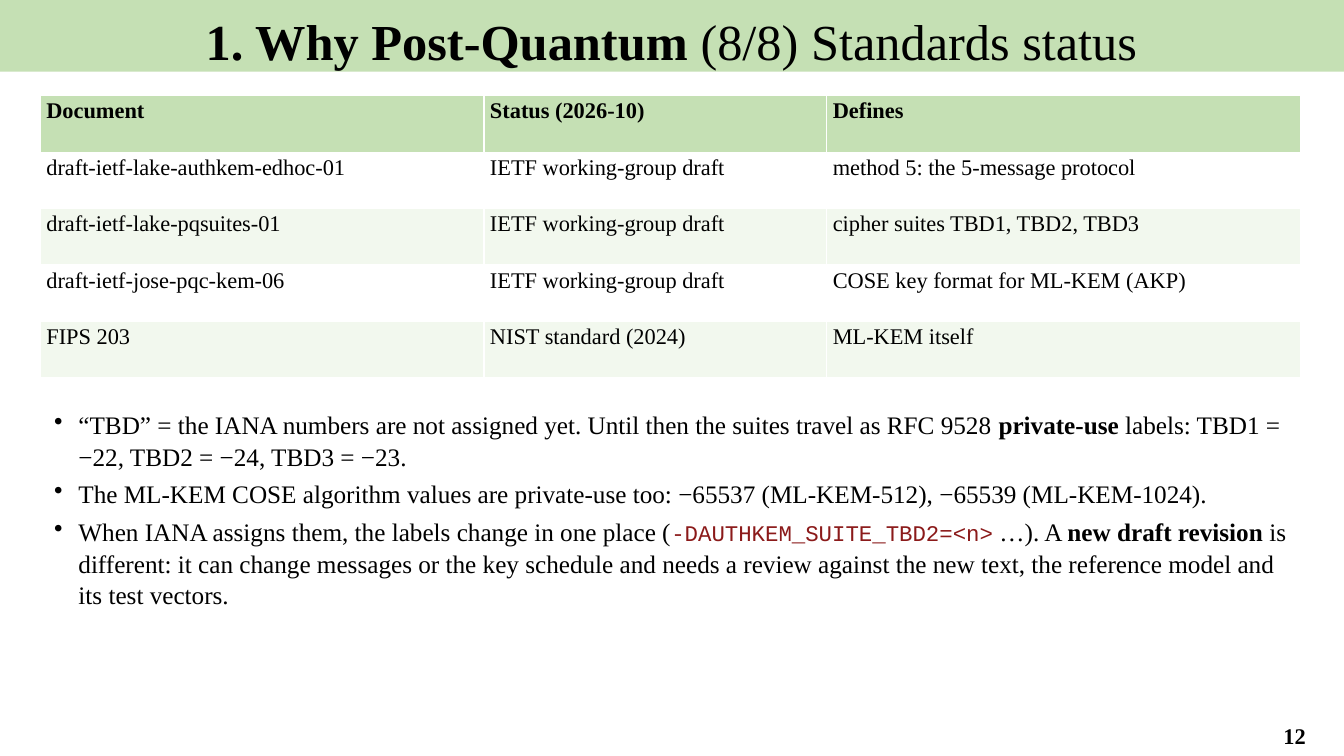
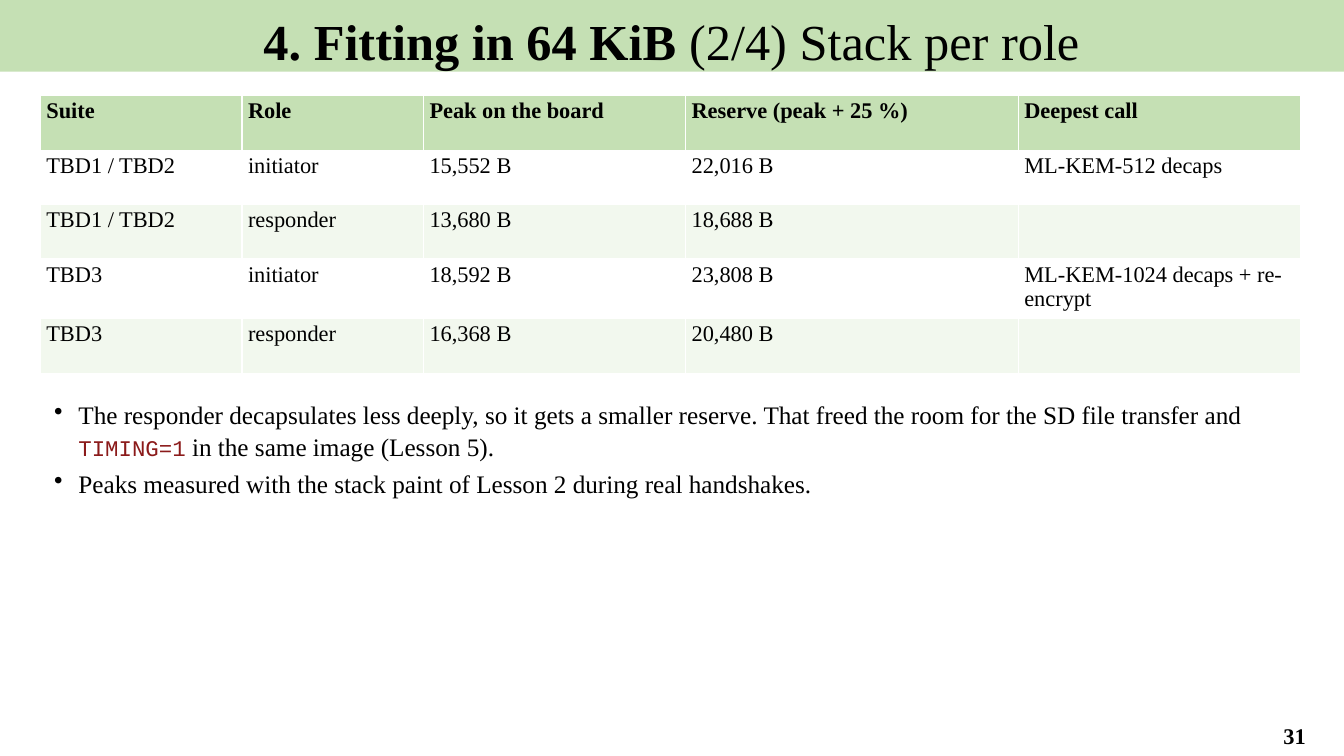
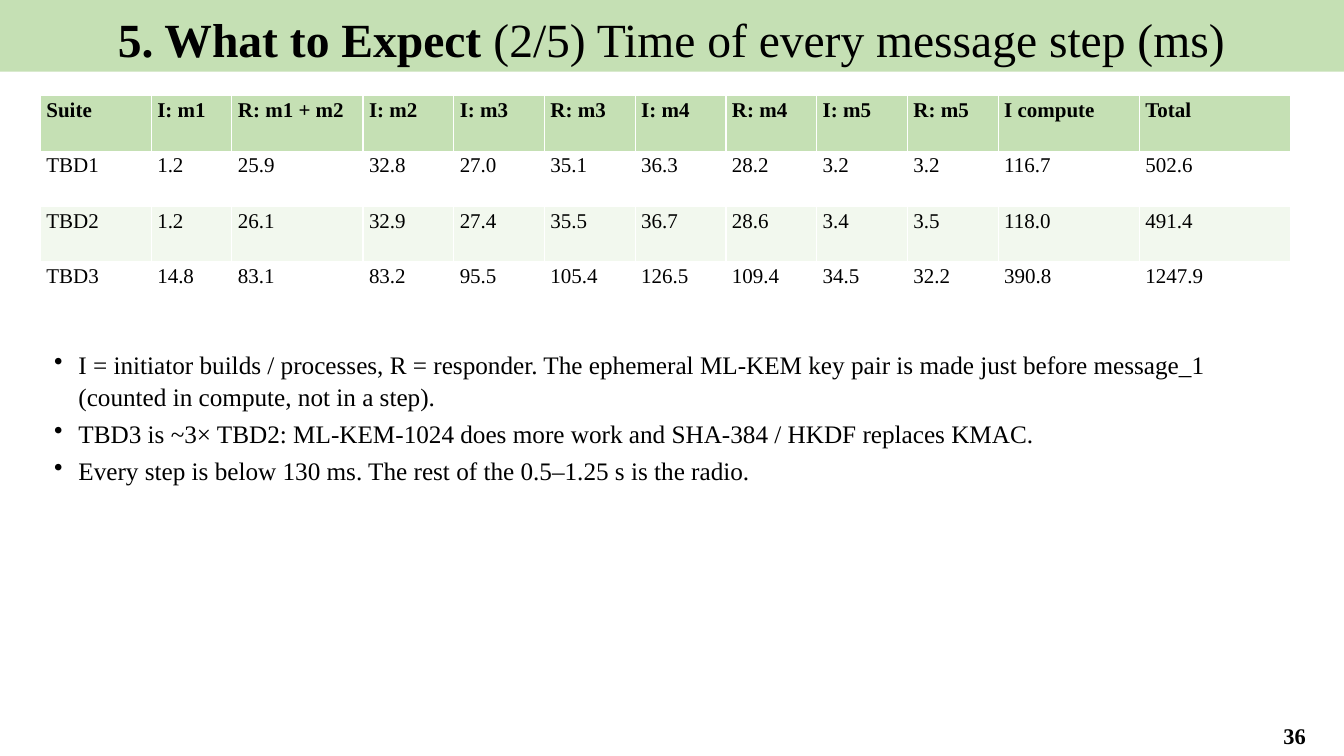
import pptx
import pptx.dml.color
import pptx.enum.text
import pptx.oxml.ns
import pptx.util
from lxml import etree

Inches = pptx.util.Inches
Pt = pptx.util.Pt
ALIGN = pptx.enum.text.PP_ALIGN
ANCHOR = pptx.enum.text.MSO_ANCHOR
FIT = pptx.enum.text.MSO_AUTO_SIZE

SERIF, MONO = "Times New Roman", "Courier New"
BLACK, WHITE, GREEN, PALE, RED = "000000", "FFFFFF", "C5E0B4", "F2F8EE", "8B1A1A"
BOLD = {"bold": True}
CODE = {"size": 16, "font": MONO, "color": RED}


def hue(code):
    return pptx.dml.color.RGBColor.from_string(code)


def paint(item, code):
    item.fill.solid()
    item.fill.fore_color.rgb = hue(code)


def write(para, text, size=18, bold=False, font=SERIF, color=BLACK):
    run = para.add_run()
    run.text = text
    run.font.size = Pt(size)
    run.font.bold = bold
    run.font.name = font
    run.font.color.rgb = hue(color)


def place(shape, left, top, width, height):
    shape.left, shape.top = Inches(left), Inches(top)
    shape.width, shape.height = Inches(width), Inches(height)


def add_box(slide, left, top, width, height):
    box = slide.shapes.add_textbox(*map(Inches, (left, top, width, height)))
    box.text_frame.word_wrap = True
    return box.text_frame


def add_title(slide, topic, rest, size):
    title = slide.shapes.title
    place(title, -0.01, 0, 13.34, 0.71)
    paint(title, GREEN)
    frame = title.text_frame
    frame.auto_size = FIT.NONE
    frame.vertical_anchor = ANCHOR.TOP
    frame.margin_top = Inches(0.1)
    para = frame.paragraphs[0]
    para.alignment = ALIGN.CENTER
    write(para, topic + " ", size=size, bold=True)
    write(para, rest, size=size)


def add_number(slide, number):
    frame = add_box(slide, 12.35, 7.1, 0.98, 0.39)
    frame.vertical_anchor = ANCHOR.MIDDLE
    para = frame.paragraphs[0]
    para.alignment = ALIGN.CENTER
    write(para, str(number), size=16, bold=True)


def add_grid(slide, rows, widths, height, size=16):
    area = map(Inches, (0.4, 0.95, sum(widths), height * len(rows)))
    table = slide.shapes.add_table(len(rows), len(widths), *area).table
    table.horz_banding = False
    for column, width in zip(table.columns, widths):
        column.width = Inches(width)
    for r, row in enumerate(rows):
        table.rows[r].height = Inches(height)
        fill = GREEN if r == 0 else (PALE, WHITE)[r % 2]
        for c, text in enumerate(row):
            cell = table.cell(r, c)
            cell.margin_left = cell.margin_right = Inches(0.06)
            cell.margin_top = cell.margin_bottom = Inches(0.03)
            paint(cell, fill)
            if text:
                write(cell.text_frame.paragraphs[0], text, size=size, bold=r == 0)


def add_list(slide, top, height, items):
    frame = add_box(slide, 0.4, top, 12.5, height)
    for i, item in enumerate(items):
        para = frame.add_paragraph() if i else frame.paragraphs[0]
        props = para._p.get_or_add_pPr()
        props.set("marL", str(Inches(0.28)))
        props.set("indent", str(Inches(-0.24)))
        mark = etree.SubElement(props, pptx.oxml.ns.qn("a:buChar"))
        mark.set("char", "•")
        para.line_spacing = 1.05
        para.space_after = Pt(4)
        for text, style in item:
            write(para, text, **style)


def add_slide(deck, number, topic, rest, size=36):
    slide = deck.slides.add_slide(deck.slide_layouts[5])
    add_title(slide, topic, rest, size)
    add_number(slide, number)
    return slide


def show_status(deck):
    slide = add_slide(deck, 12, "1. Why Post-Quantum", "(8/8) Standards status")
    draft = "IETF working-group draft"
    rows = [
        ("Document", "Status (2026-10)", "Defines"),
        ("draft-ietf-lake-authkem-edhoc-01", draft, "method 5: the 5-message protocol"),
        ("draft-ietf-lake-pqsuites-01", draft, "cipher suites TBD1, TBD2, TBD3"),
        ("draft-ietf-jose-pqc-kem-06", draft, "COSE key format for ML-KEM (AKP)"),
        ("FIPS 203", "NIST standard (2024)", "ML-KEM itself"),
    ]
    add_grid(slide, rows, (4.4, 3.4, 4.7), 0.56)
    add_list(slide, 4, 2.9, [
        [("“TBD” = the IANA numbers are not assigned yet. Until then the suites "
          "travel as RFC 9528 ", {}),
         ("private-use", BOLD),
         (" labels: TBD1 = −22, TBD2 = −24, TBD3 = −23.", {})],
        [("The ML-KEM COSE algorithm values are private-use too: "
          "−65537 (ML-KEM-512), −65539 (ML-KEM-1024).", {})],
        [("When IANA assigns them, the labels change in one place (", {}),
         ("-DAUTHKEM_SUITE_TBD2=<n>", CODE),
         (" …). A ", {}),
         ("new draft revision", BOLD),
         (" is different: it can change messages or the key schedule and needs a "
          "review against the new text, the reference model and its test vectors.", {})],
    ])


def show_stack(deck):
    slide = add_slide(deck, 31, "4. Fitting in 64 KiB", "(2/4) Stack per role")
    rows = [
        ("Suite", "Role", "Peak on the board", "Reserve (peak + 25 %)", "Deepest call"),
        ("TBD1 / TBD2", "initiator", "15,552 B", "22,016 B", "ML-KEM-512 decaps"),
        ("TBD1 / TBD2", "responder", "13,680 B", "18,688 B", ""),
        ("TBD3", "initiator", "18,592 B", "23,808 B", "ML-KEM-1024 decaps + re-encrypt"),
        ("TBD3", "responder", "16,368 B", "20,480 B", ""),
    ]
    add_grid(slide, rows, (2, 1.8, 2.6, 3.3, 2.8), 0.54)
    add_list(slide, 3.9, 2.4, [
        [("The responder decapsulates less deeply, so it gets a smaller reserve. "
          "That freed the room for the SD file transfer and ", {}),
         ("TIMING=1", CODE),
         (" in the same image (Lesson 5).", {})],
        [("Peaks measured with the stack paint of Lesson 2 during real handshakes.", {})],
    ])


def show_time(deck):
    slide = add_slide(deck, 36, "5. What to Expect",
                      "(2/5) Time of every message step (ms)", size=34)
    rows = [
        ("Suite", "I: m1", "R: m1 + m2", "I: m2", "I: m3", "R: m3",
         "I: m4", "R: m4", "I: m5", "R: m5", "I compute", "Total"),
        ("TBD1", "1.2", "25.9", "32.8", "27.0", "35.1",
         "36.3", "28.2", "3.2", "3.2", "116.7", "502.6"),
        ("TBD2", "1.2", "26.1", "32.9", "27.4", "35.5",
         "36.7", "28.6", "3.4", "3.5", "118.0", "491.4"),
        ("TBD3", "14.8", "83.1", "83.2", "95.5", "105.4",
         "126.5", "109.4", "34.5", "32.2", "390.8", "1247.9"),
    ]
    add_grid(slide, rows, (1.1, 0.8, 1.3, *[0.9] * 7, 1.4, 1.5), 0.55, size=15)
    add_list(slide, 3.4, 2.6, [
        [("I = initiator builds / processes, R = responder. The ephemeral ML-KEM key "
          "pair is made just before message_1 (counted in compute, not in a step).", {})],
        [("TBD3 is ~3× TBD2: ML-KEM-1024 does more work and "
          "SHA-384 / HKDF replaces KMAC.", {})],
        [("Every step is below 130 ms. The rest of the 0.5–1.25 s is the radio.", {})],
    ])


def main():
    deck = pptx.Presentation()
    deck.slide_width, deck.slide_height = Inches(13.33), Inches(7.5)
    show_status(deck)
    show_stack(deck)
    show_time(deck)
    deck.save("out.pptx")


if __name__ == "__main__":
    main()
